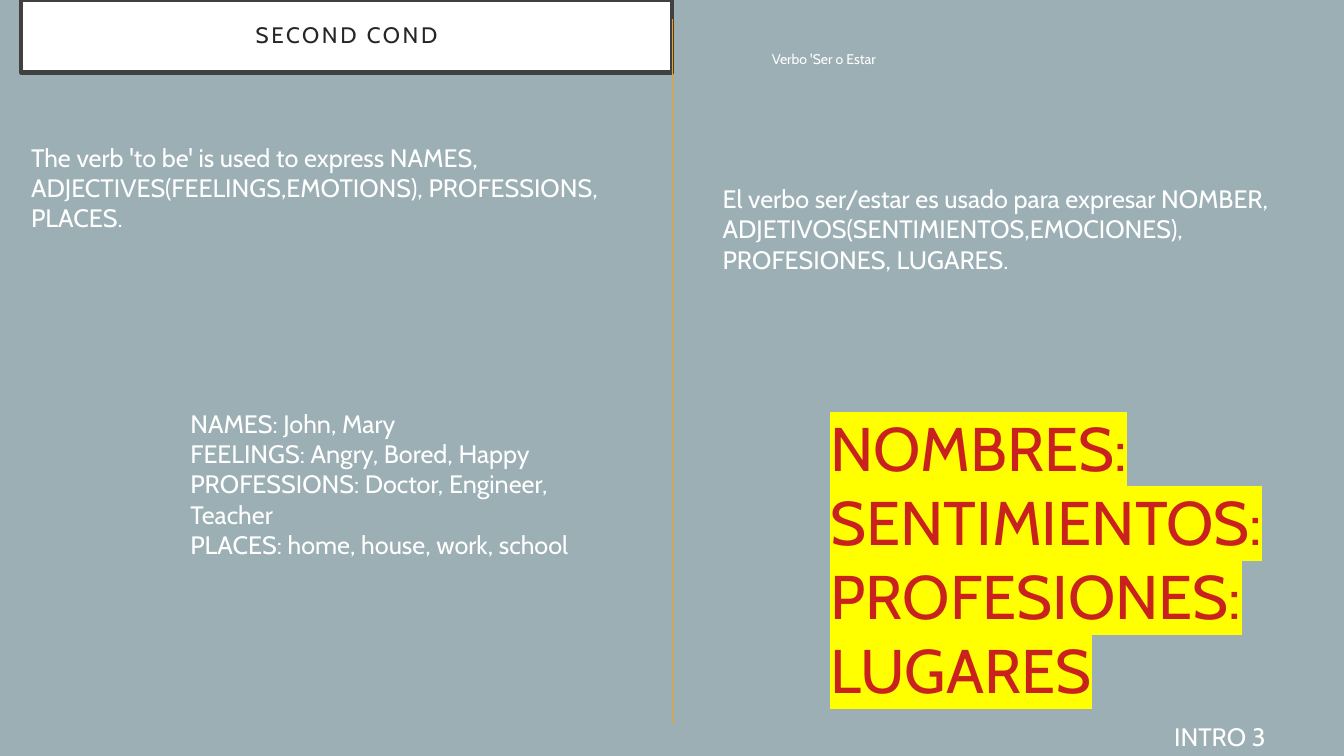
from lxml import etree
from pptx import Presentation
from pptx.dml.color import RGBColor
from pptx.enum.shapes import MSO_CONNECTOR, MSO_SHAPE
from pptx.enum.text import MSO_ANCHOR, MSO_AUTO_SIZE, PP_ALIGN
from pptx.oxml.ns import qn
from pptx.util import Pt

RECTANGLE, STRAIGHT = MSO_SHAPE.RECTANGLE, MSO_CONNECTOR.STRAIGHT
TOP, MIDDLE, BOTTOM = MSO_ANCHOR.TOP, MSO_ANCHOR.MIDDLE, MSO_ANCHOR.BOTTOM
LEFT, CENTER = PP_ALIGN.LEFT, PP_ALIGN.CENTER
GROW, FIXED = MSO_AUTO_SIZE.SHAPE_TO_FIT_TEXT, MSO_AUTO_SIZE.NONE

FONT = "Cabin"
COLORS = {
    "background": "9BAFB5", "white": "FFFFFF", "title": "262626", "border": "404040",
    "divider": "F59F17", "red": "C9211E", "yellow": "FFFF00",
}

# Content: lines of text, box (left, top, width, height), format
TITLE = ["SECOND COND"]
TITLE_BOX = (15.12, 0, 465.12, 51.84)
TEXTS = [
    (["INTRO 3"], (831.6, 511.92, 193.68, 28.8), {}),
    (["The verb 'to be' is used to express NAMES, ADJECTIVES(FEELINGS,EMOTIONS), "
      "PROFESSIONS, PLACES."], (15.12, 97.92, 465.12, 28.8), {}),
    (["NAMES: John, Mary", "FEELINGS: Angry, Bored, Happy",
      "PROFESSIONS: Doctor, Engineer, Teacher", "PLACES: home, house, work, school"],
     (128.88, 288, 311.76, 28.8), {}),
    (["Verbo 'Ser o Estar"], (544.32, 0, 277.92, 51.84),
     {"size": 10, "anchor": BOTTOM, "auto_size": FIXED}),
    (["El verbo ser/estar es usado para expresar NOMBER, ADJETIVOS(SENTIMIENTOS,EMOCIONES), "
      "PROFESIONES, LUGARES."], (509.04, 127.44, 439.92, 28.8), {}),
    (["NOMBRES:", "SENTIMIENTOS:", "PROFESIONES:", "LUGARES"],
     (586.08, 289.44, 368.64, 59.76), {"size": 44, "color": "red", "highlight": "yellow"}),
]
DIVIDER_X, DIVIDER_TOP, DIVIDER_BOTTOM = 480.24, 13.68, 516.96


def rgb(name):
    return RGBColor.from_string(COLORS[name])


def points(values):
    return [Pt(value) for value in values]


def write(shape, lines, size=18, color="white", highlight=None, anchor=TOP, align=LEFT,
          auto_size=GROW, margins=(7.2, 3.6), line_spacing=None, tracking=None):
    frame = shape.text_frame
    frame.word_wrap = True
    frame.auto_size = auto_size
    frame.vertical_anchor = anchor
    frame.margin_left = frame.margin_right = Pt(margins[0])
    frame.margin_top = frame.margin_bottom = Pt(margins[1])
    paragraph = frame.paragraphs[0]
    paragraph.alignment = align
    paragraph.line_spacing = line_spacing
    paragraph.font.size = Pt(size)
    for index, line in enumerate(lines):
        if index:
            paragraph.add_line_break()
        run = paragraph.add_run()
        run.text = line
        run.font.name = FONT
        run.font.size = Pt(size)
        run.font.color.rgb = rgb(color)
        properties = run.font._element
        if tracking:
            properties.set("spc", str(round(tracking * 100)))
        if highlight:
            mark = etree.Element(qn("a:highlight"))
            etree.SubElement(mark, qn("a:srgbClr"), val=COLORS[highlight])
            properties.find(qn("a:solidFill")).addnext(mark)


presentation = Presentation()
presentation.slide_width, presentation.slide_height = points((960, 540))
slide = presentation.slides.add_slide(presentation.slide_layouts[6])
slide.background.fill.solid()
slide.background.fill.fore_color.rgb = rgb("background")

# Title banner
banner = slide.shapes.add_shape(RECTANGLE, *points(TITLE_BOX))
banner.shadow.inherit = False
banner.fill.solid()
banner.fill.fore_color.rgb = rgb("white")
banner.line.color.rgb = rgb("border")
banner.line.width = Pt(3)
write(banner, TITLE, size=16, color="title", anchor=MIDDLE, align=CENTER, auto_size=FIXED,
      margins=(21.6, 14.4), line_spacing=0.9, tracking=1.9)

# Divider between the two languages
divider = slide.shapes.add_connector(
    STRAIGHT, *points((DIVIDER_X, DIVIDER_TOP, DIVIDER_X, DIVIDER_BOTTOM)))
divider.line.color.rgb = rgb("divider")
divider.line.width = Pt(0.75)
etree.SubElement(divider._element.spPr, qn("a:effectLst"))

# English and Spanish texts
for lines, box, text_format in TEXTS:
    write(slide.shapes.add_textbox(*points(box)), lines, **text_format)

presentation.save("out.pptx")
